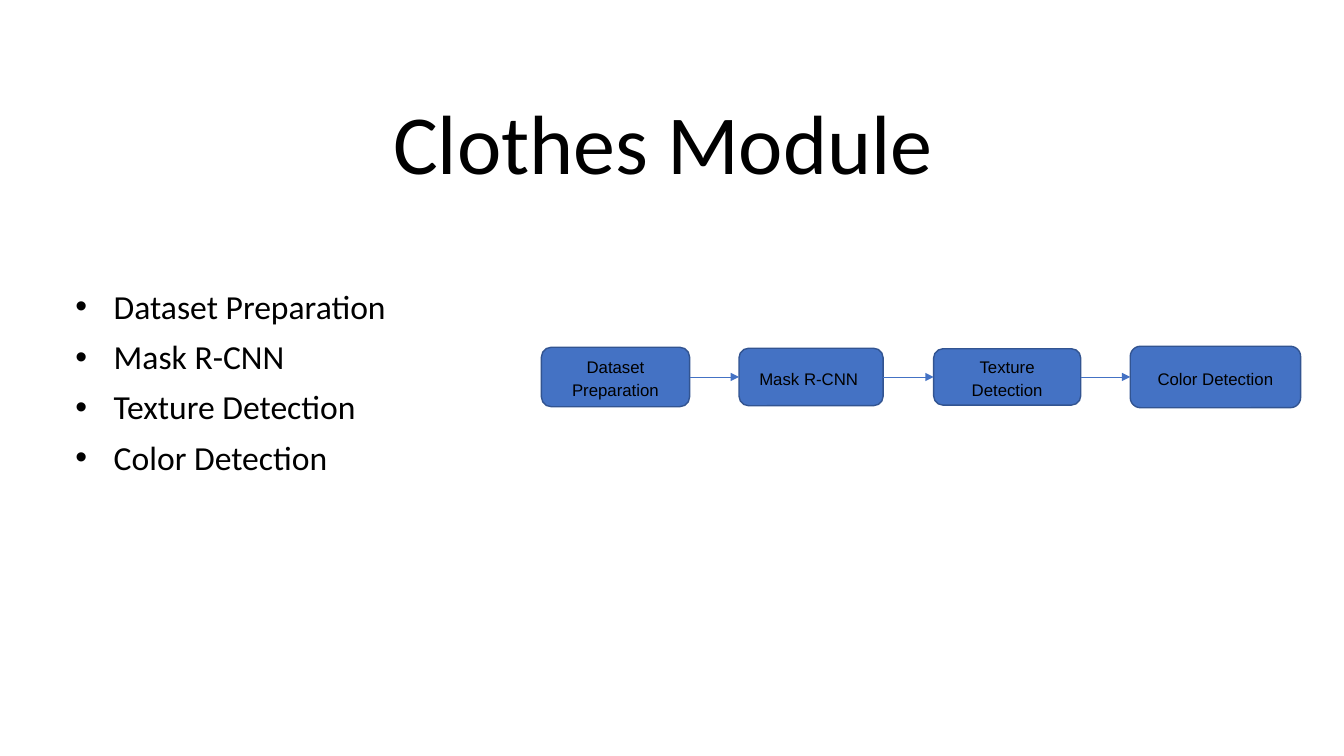
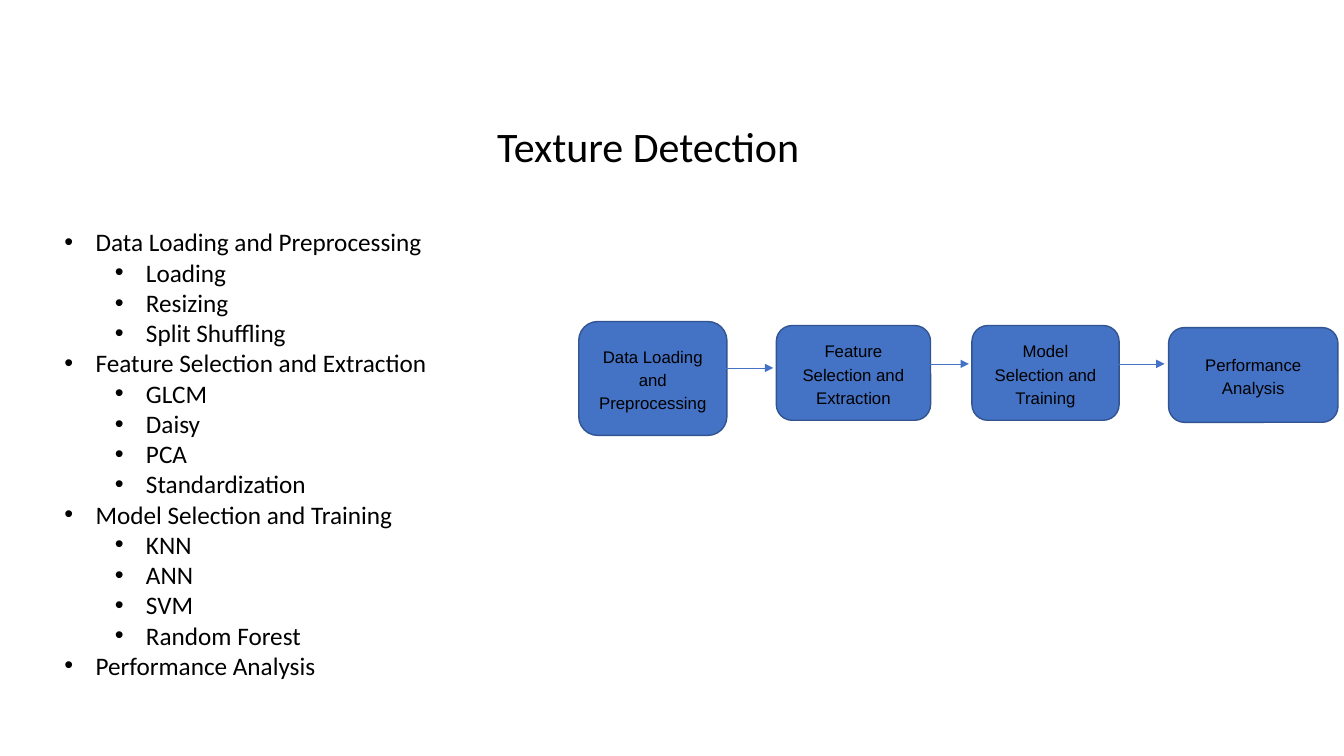
from lxml import etree
from pptx import Presentation
from pptx.dml.color import RGBColor
from pptx.enum.shapes import MSO_CONNECTOR as CONNECTOR, MSO_SHAPE as SHAPE
from pptx.enum.text import MSO_ANCHOR as ANCHOR, PP_ALIGN as ALIGN
from pptx.oxml.ns import qn
from pptx.util import Inches, Pt

BLACK, BLUE, NAVY = "000000", "4472C4", "325491"
HEADING_FONT, BOX_FONT = "Calibri", "Arial"


def rgb(hex_string):
    return RGBColor.from_string(hex_string)


def add_run(p, text, size, font):
    r = p.add_run()
    r.text = text
    r.font.size = Pt(size)
    r.font.name = font
    r.font.color.rgb = rgb(BLACK)


def text_frame(s, left, top, width, height):
    tf = s.shapes.add_textbox(*map(Inches, (left, top, width, height))).text_frame
    tf.word_wrap = True
    return tf


def add_title(s, text, left, top, height, size):
    tf = text_frame(s, left, top, 10, height)
    tf.vertical_anchor = ANCHOR.BOTTOM
    p = tf.paragraphs[0]
    p.alignment = ALIGN.CENTER
    p.line_spacing = 0.9
    add_run(p, text, size, HEADING_FONT)


def add_bullet(p, level, indent):
    p.level = level
    pPr = p._p.get_or_add_pPr()
    pPr.set("marL", str(Inches(indent + 0.5 * level)))
    pPr.set("indent", str(-Inches(indent)))
    etree.SubElement(pPr, qn("a:buFont")).set("typeface", "Arial")
    etree.SubElement(pPr, qn("a:buChar")).set("char", "•")


def add_bullets(s, items, box, size, indent, line_spacing=1.0, gap=0):
    tf = text_frame(s, *box)
    for i, (level, text) in enumerate(items):
        p = tf.add_paragraph() if i else tf.paragraphs[0]
        add_bullet(p, level, indent)
        p.line_spacing = line_spacing
        p.space_before = Pt(gap if i else 0)
        add_run(p, text, size, HEADING_FONT)


def add_step(s, text, left, top, width, height):
    sp = s.shapes.add_shape(SHAPE.ROUNDED_RECTANGLE,
                            *map(Inches, (left, top, width, height)))
    sp.shadow.inherit = False
    sp.fill.solid()
    sp.fill.fore_color.rgb = rgb(BLUE)
    sp.line.color.rgb = rgb(NAVY)
    sp.line.width = Pt(1)
    tf = sp.text_frame
    tf.word_wrap = True
    tf.vertical_anchor = ANCHOR.MIDDLE
    p = tf.paragraphs[0]
    p.alignment = ALIGN.CENTER
    p.line_spacing = 1.15
    add_run(p, text, 12, BOX_FONT)
    return sp


def add_arrow(s, left=0, y=0, length=0.5):
    arrow = s.shapes.add_connector(CONNECTOR.STRAIGHT, Inches(left), Inches(y),
                                   Inches(left + length), Inches(y))
    arrow.line.color.rgb = rgb(BLUE)
    arrow.line.width = Pt(0.5)
    etree.SubElement(arrow.line._get_or_add_ln(), qn("a:tailEnd")).set("type", "triangle")
    etree.SubElement(arrow._element.spPr, qn("a:effectLst"))
    return arrow


def clothes_slide(s):
    add_title(s, "Clothes Module ", 1.67, 0.92, 1.04, 60)
    topics = ["Dataset Preparation", "Mask R-CNN", "Texture Detection", "Color Detection"]
    add_bullets(s, [(0, topic) for topic in topics], (0.65, 2.83, 11.5, 2.6),
                24, 0.38, line_spacing=0.9, gap=10)

    middle = 3.74
    steps = [
        ("Dataset Preparation", 5.37, 1.47, 0.59),
        ("Mask R-CNN ", 7.33, 1.43, 0.57),
        ("Texture Detection", 9.26, 1.46, 0.56),
        ("Color Detection", 11.21, 1.69, 0.61),
    ]
    boxes = [add_step(s, text, left, middle - height / 2, width, height)
             for text, left, width, height in steps]
    for source, target in zip(boxes, boxes[1:]):
        arrow = add_arrow(s)
        arrow.begin_connect(source, 3)
        arrow.end_connect(target, 1)


def texture_slide(s):
    add_title(s, "Texture Detection", 1.43, 0.77, 0.98, 30)
    outline = [
        ("Data Loading and Preprocessing", ["Loading", "Resizing", "Split Shuffling"]),
        ("Feature Selection and Extraction", ["GLCM", "Daisy", "PCA", "Standardization"]),
        ("Model Selection and Training", ["KNN", "ANN", "SVM", "Random Forest"]),
        ("Performance Analysis", []),
    ]
    items = []
    for stage, details in outline:
        items.append((0, stage))
        items += [(1, detail) for detail in details]
    add_bullets(s, items, (0.54, 2.2, 5.73, 4.95), 18, 0.31)

    places = [
        (5.74, 3.19, 1.47, 1.13),
        (7.7, 3.23, 1.53, 0.94),
        (9.64, 3.23, 1.46, 0.94),
        (11.59, 3.25, 1.68, 0.94),
    ]
    for (stage, _), place in zip(outline, places):
        add_step(s, stage, *place)
    for i, y in enumerate([3.65, 3.61, 3.61]):
        add_arrow(s, 7.17 + 1.94 * i, y)


def main():
    prs = Presentation()
    prs.slide_width, prs.slide_height = Inches(13.33), Inches(7.5)
    for build in (clothes_slide, texture_slide):
        build(prs.slides.add_slide(prs.slide_layouts[6]))
    prs.save("out.pptx")


if __name__ == "__main__":
    main()
